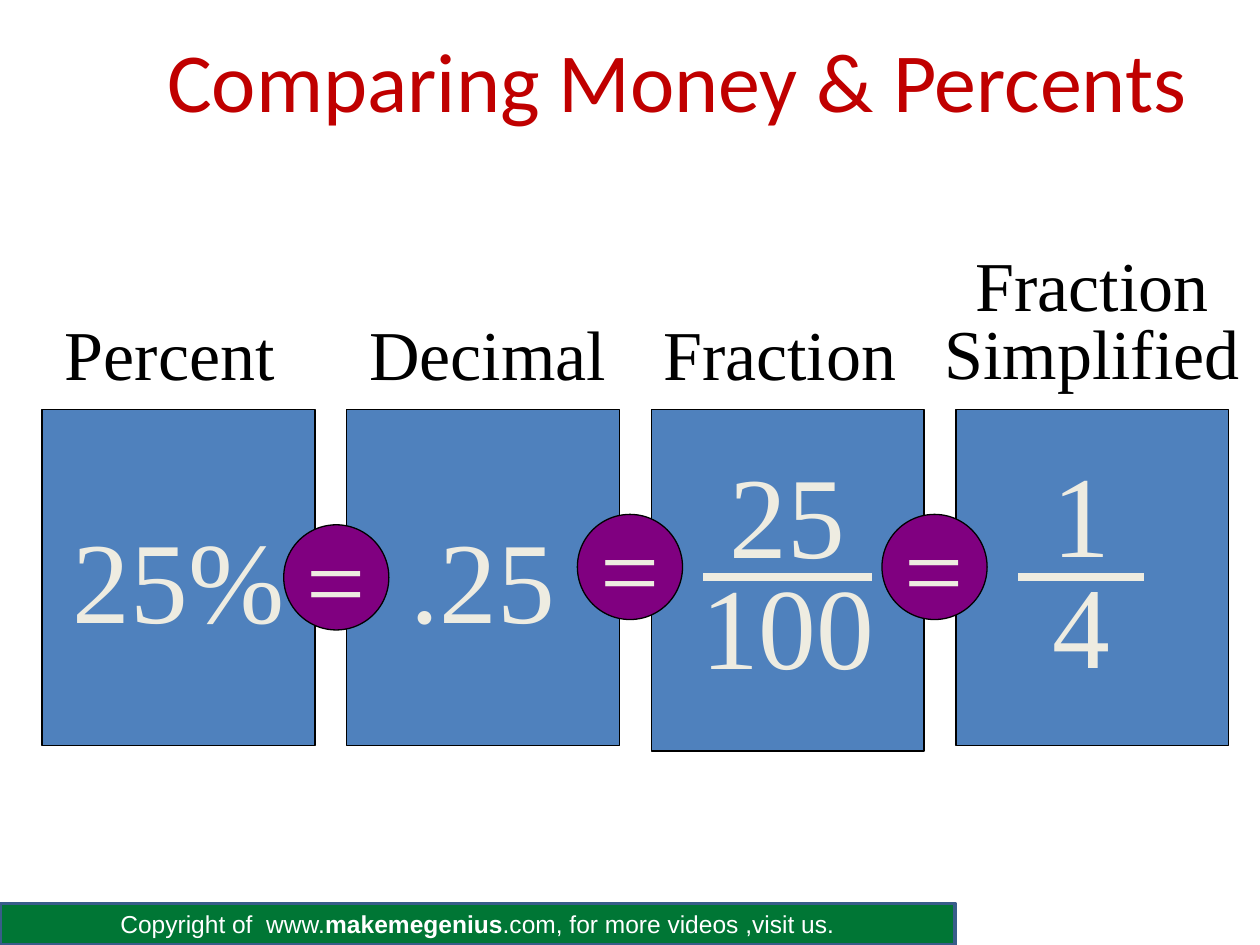
import pptx
import pptx.util
import pptx.dml.color
import pptx.enum.shapes
import pptx.enum.text
import lxml.etree

Cm, Pt = pptx.util.Cm, pptx.util.Pt
RGB = pptx.dml.color.RGBColor
Kind = pptx.enum.shapes.MSO_SHAPE
Align = pptx.enum.text.PP_ALIGN
Anchor = pptx.enum.text.MSO_ANCHOR

RED = RGB(0xC0, 0x00, 0x00)
BLUE = RGB(0x4F, 0x81, 0xBD)
NAVY = RGB(0x38, 0x5D, 0x8A)
CREAM = RGB(0xEE, 0xEC, 0xE1)
PURPLE = RGB(0x80, 0x00, 0x80)
GREEN = RGB(0x00, 0x76, 0x35)
BLACK = RGB(0, 0, 0)
WHITE = RGB(0xFF, 0xFF, 0xFF)

# Content
TITLE = "Comparing Money & Percents"
CARDS = [["25%"], [".25"], ["25", "100"], []]  # the last card has its own text box
QUARTER = ["1", "4"]
FOOTER = [("Copyright of  www.", False), ("makemegenius", True),
          (".com, for more videos ,visit us.", False)]

# Places in cm: left, top, width, height
LABELS = [
    (["Percent"], (1.06, 6.14, 4.75, 3.66)),
    (["Decimal"], (7.2, 6.14, 5.29, 3.66)),
    (["Fraction"], (13.12, 6.14, 5.25, 3.66)),
    (["Fraction", "Simplified"], (18.63, 5.08, 6.77, 4.66)),
]
LEFT, TOP, STEP, WIDE = 0.85, 8.26, 6.14, 5.5
HIGH = [6.77, 6.77, 6.88, 6.77]
SIGNS = [(5.72, 10.58), (11.64, 10.37), (17.78, 10.37)]
SIGN = 2.12
BARS = [(14.18, 17.57), (20.53, 23.07)]
BAR_TOP = 11.64

# Formats
BIG = {"name": "Times New Roman", "size": Pt(66)}
EQUAL = {"name": "Times New Roman", "size": Pt(60)}
HEAD = {"name": "Times New Roman", "size": Pt(40)}
TITLE_FONT = {"name": "Calibri", "size": Pt(48)}
FOOT_FONT = {"name": "Arial", "size": Pt(14)}


def style(font, form, color):
    for key, value in form.items():
        setattr(font, key, value)
    font.color.rgb = color


def write(frame, lines, form, color, align=Align.CENTER, wrap=False):
    frame.word_wrap = wrap
    for n, line in enumerate(lines):
        para = frame.add_paragraph() if n else frame.paragraphs[0]
        para.alignment = align
        if len(lines) > 1:
            para.line_spacing = 0.8
        run = para.add_run()
        run.text = line
        style(run.font, form, color)


def draw(kind, box, fill, line=BLACK, width=0.75):
    shape = slide.shapes.add_shape(kind, *map(Cm, box))
    shape.shadow.inherit = False
    shape.fill.solid()
    shape.fill.fore_color.rgb = fill
    shape.line.color.rgb = line
    shape.line.width = Pt(width)
    shape.text_frame.vertical_anchor = Anchor.MIDDLE
    return shape


deck = pptx.Presentation()
deck.slide_width, deck.slide_height = Cm(25.4), Cm(19.05)
slide = deck.slides.add_slide(deck.slide_layouts[5])

# Title
title = slide.shapes.title
title.left, title.top, title.width, title.height = map(Cm, (1.9, 0, 23.5, 3.18))
title.text_frame.vertical_anchor = Anchor.MIDDLE
write(title.text_frame, [TITLE], TITLE_FONT, RED, wrap=True)

# Footer band
foot = draw(Kind.RECTANGLE, (0, 18.21, 19.25, 0.84), GREEN, NAVY, 2)
para = foot.text_frame.paragraphs[0]
para.alignment = Align.CENTER
for text, bold in FOOTER:
    run = para.add_run()
    run.text = text
    style(run.font, {**FOOT_FONT, "bold": bold}, WHITE)

# Cards
for n, (lines, high) in enumerate(zip(CARDS, HIGH)):
    card = draw(Kind.RECTANGLE, (LEFT + n * STEP, TOP, WIDE, high), BLUE)
    write(card.text_frame, lines, BIG, CREAM)

quarter = slide.shapes.add_textbox(Cm(20.96), Cm(9.32), Cm(1.68), Cm(7.52))
write(quarter.text_frame, QUARTER, BIG, CREAM)

# Fraction bars
for start, end in BARS:
    bar = slide.shapes.add_connector(pptx.enum.shapes.MSO_CONNECTOR.STRAIGHT,
                                     Cm(start), Cm(BAR_TOP), Cm(end), Cm(BAR_TOP))
    bar.line.color.rgb = CREAM
    bar.line.width = Pt(4.5)
    lxml.etree.SubElement(bar.element.spPr, pptx.oxml.ns.qn("a:effectLst"))

# Equal signs
for left, top in SIGNS:
    sign = draw(Kind.OVAL, (left, top, SIGN, SIGN), PURPLE)
    write(sign.text_frame, ["="], EQUAL, CREAM)

# Labels
for lines, box in LABELS:
    label = slide.shapes.add_textbox(*map(Cm, box))
    align = Align.CENTER if len(lines) > 1 else Align.LEFT
    write(label.text_frame, lines, HEAD, BLACK, align, wrap=True)

deck.save("out.pptx")
